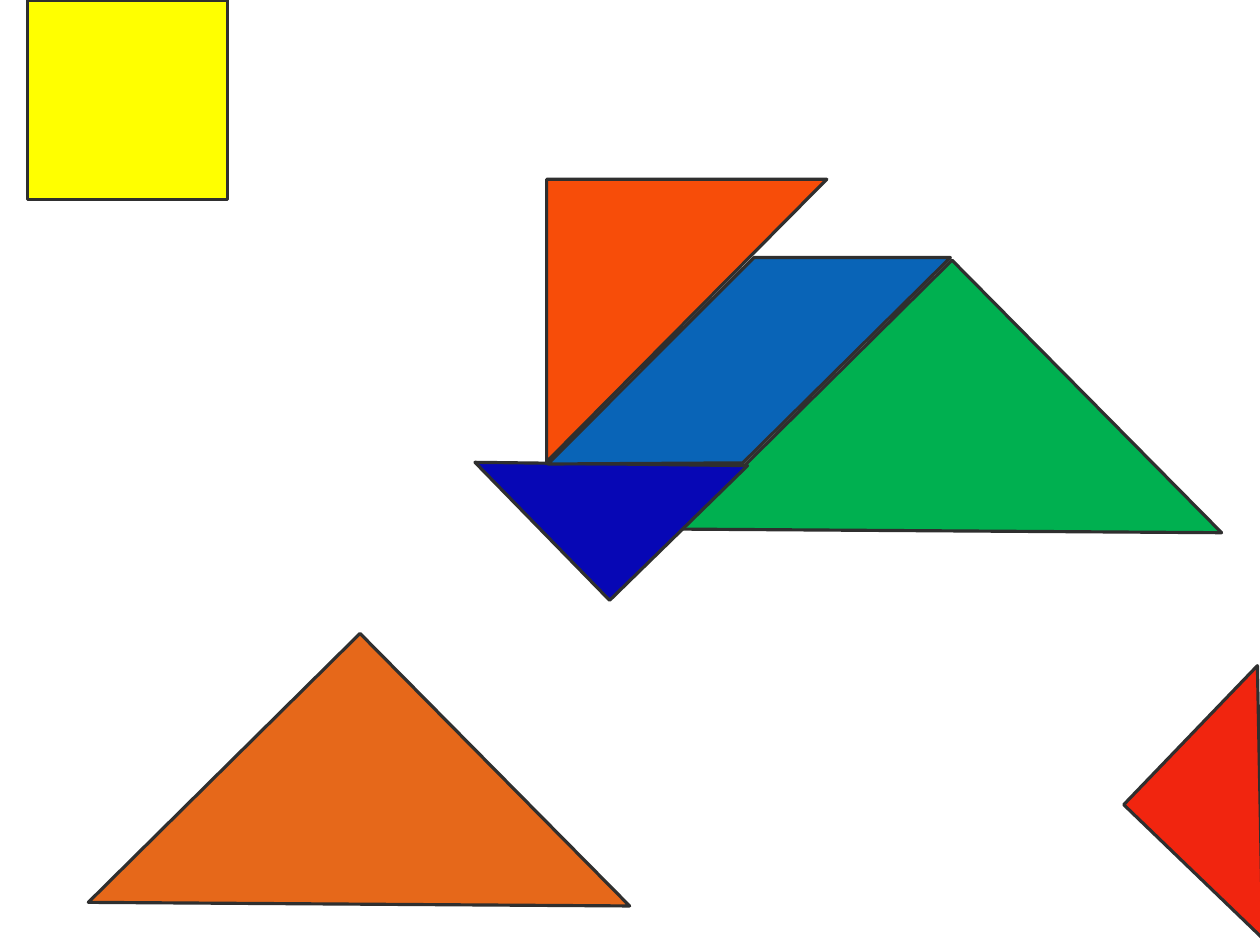
from dataclasses import dataclass

from pptx import Presentation
from pptx.dml.color import RGBColor
from pptx.enum import shapes
from pptx.util import Inches, Pt


@dataclass(frozen=True)
class Theme:
    """Colours and line width of the tangram."""
    outline: str = "2F2F2F"
    outline_width: float = 2
    background: str = "FFFFFF"
    amber: str = "E6681A"
    green: str = "00B050"
    red: str = "F1250F"
    navy: str = "0707B5"
    orange: str = "F74D09"
    yellow: str = "FFFF00"
    blue: str = "0964B7"


THEME = Theme()
TRIANGLE = shapes.MSO_SHAPE.RIGHT_TRIANGLE
SQUARE = shapes.MSO_SHAPE.RECTANGLE


def paint(piece, colour):
    """Give a piece its fill and the common outline, without a shadow."""
    piece.shadow.inherit = False
    piece.fill.solid()
    piece.fill.fore_color.rgb = RGBColor.from_string(colour)
    piece.line.color.rgb = RGBColor.from_string(THEME.outline)
    piece.line.width = Pt(THEME.outline_width)


def add_pieces(page, box, pieces):
    """Place preset pieces relative to the top left corner of the box."""
    left, top = box
    for kind, x, y, width, height, turn, colour in pieces:
        piece = page.shapes.add_shape(
            kind, Inches(left + x), Inches(top + y), Inches(width), Inches(height))
        piece.rotation = turn
        paint(piece, colour)


def add_parallelogram(page, box, corners, colour):
    """Draw the slanted piece through corners given relative to the box."""
    left, top = box
    points = [(Inches(left + x), Inches(top + y)) for x, y in corners]
    outline = page.shapes.build_freeform(*points[0], scale=1.0)
    outline.add_line_segments(points[1:], close=True)
    paint(outline.convert_to_shape(), colour)


def add_loose_pieces(page, box):
    """Spread the pieces that are still to be placed."""
    add_pieces(page, box, [
        (TRIANGLE, 1.48, 6.28, 3.37, 3.38, 135.3, THEME.amber),
        (TRIANGLE, 10.26, 6.22, 1.7, 1.7, 43.9, THEME.red),
        (SQUARE, 0.24, 0, 1.77, 1.76, 0, THEME.yellow),
    ])


def add_figure(page, box):
    """Assemble the pieces that already fit together."""
    add_pieces(page, box, [
        (TRIANGLE, 2.2, 1.49, 3.37, 3.38, 135.3, THEME.green),
        (TRIANGLE, 0.04, 1.74, 1.7, 1.7, 315.7, THEME.navy),
        (TRIANGLE, 0.31, 0.09, 2.49, 2.47, 90, THEME.orange),
    ])
    corners = [(0.33, 2.59), (2.15, 0.77), (3.88, 0.77), (2.05, 2.58)]
    add_parallelogram(page, box, corners, THEME.blue)


deck = Presentation()
for name, size in {"slide_width": 11.11, "slide_height": 8.33}.items():
    setattr(deck, name, Inches(size))
page = deck.slides.add_slide(deck.slide_layouts[6])
page.background.fill.solid()
page.background.fill.fore_color.rgb = RGBColor.from_string(THEME.background)
add_loose_pieces(page, (0, 0))
add_figure(page, (4.5, 1.5))
deck.save("out.pptx")
